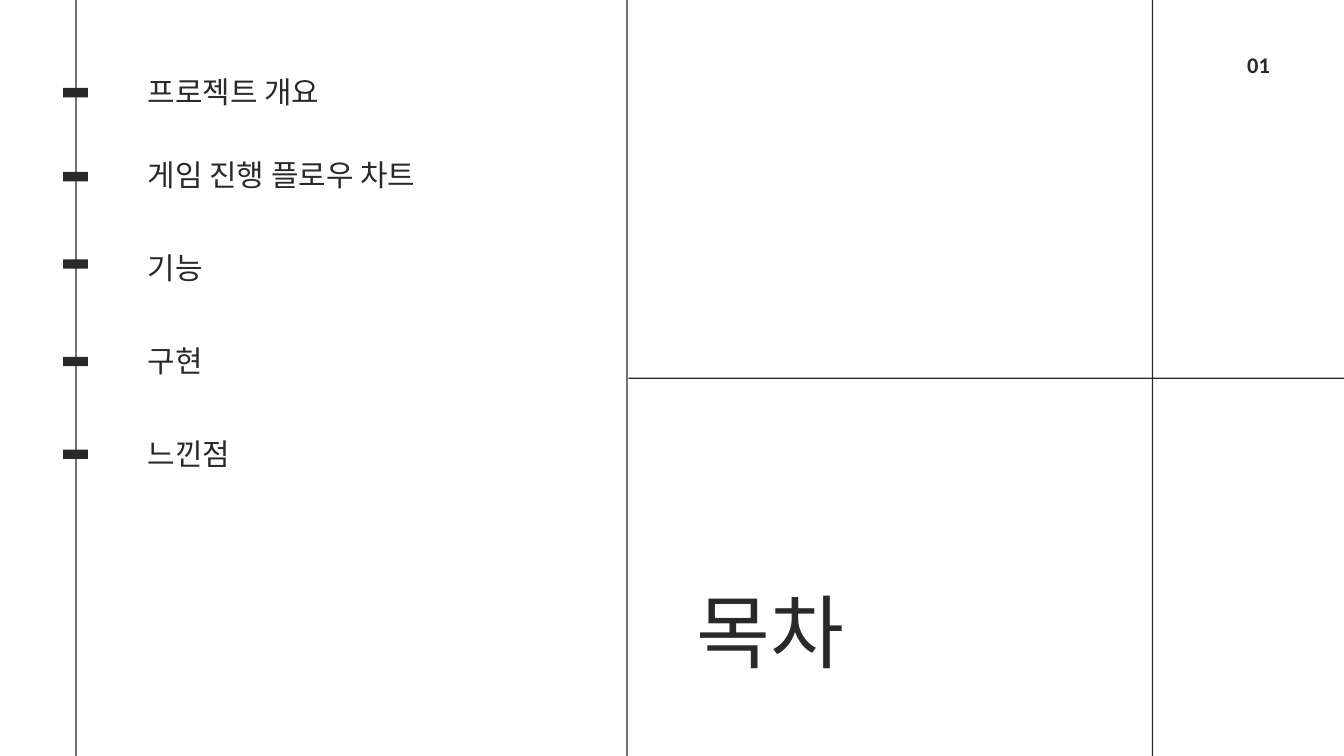
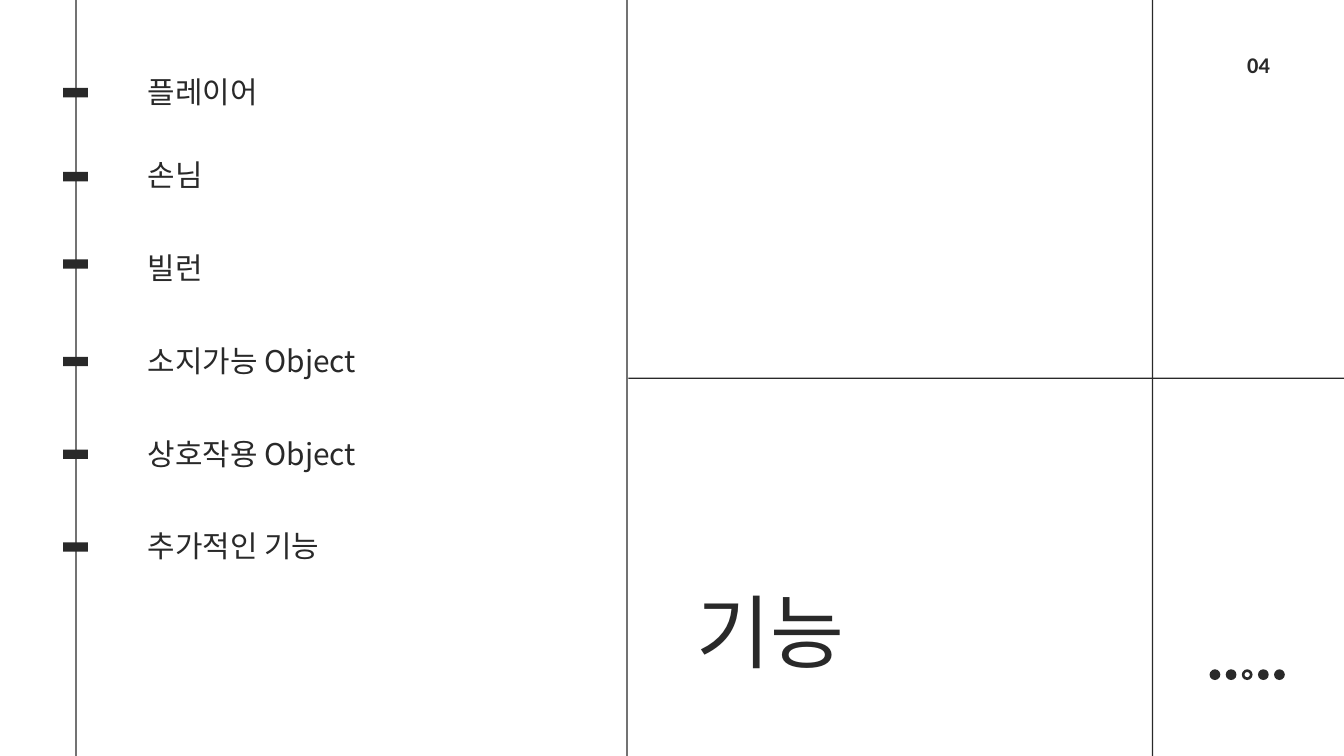
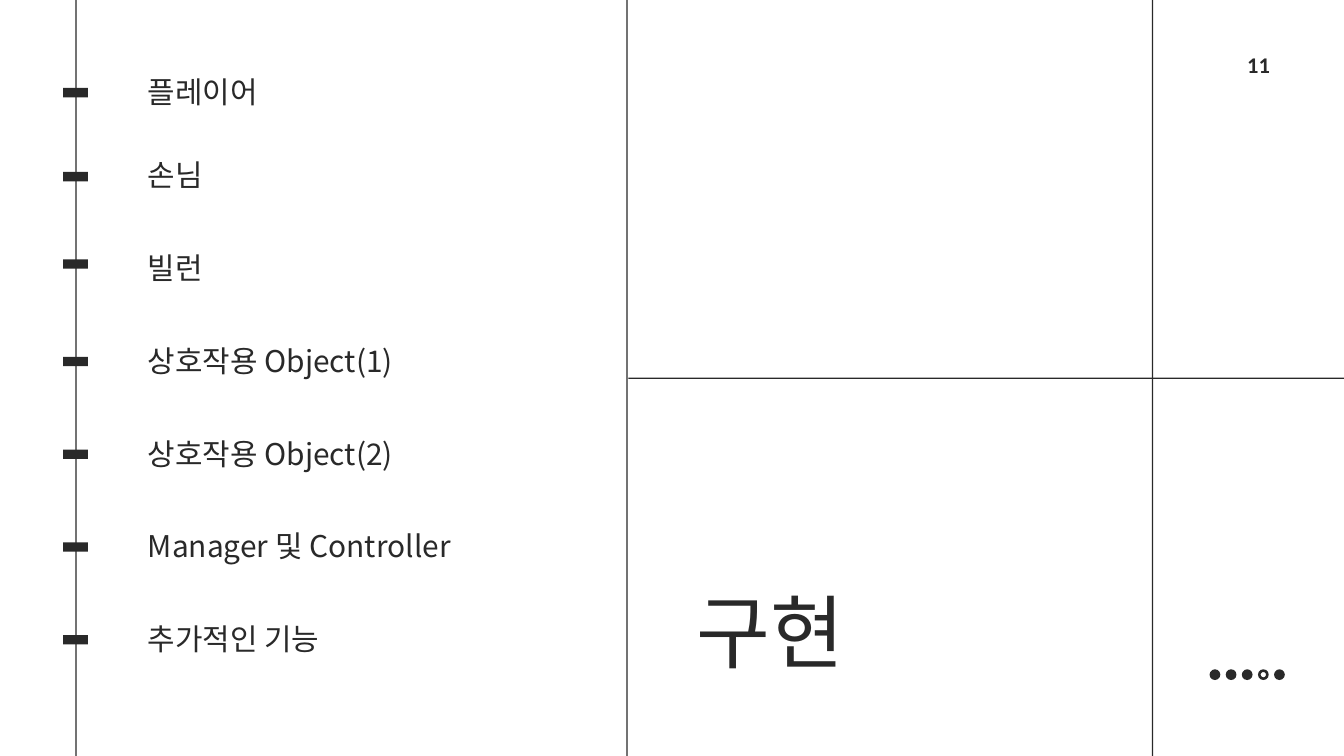
"""Build three section slides, each with a timeline list, a title and a page number."""
import dataclasses

import pptx
import pptx.dml.color
import pptx.enum.shapes
import pptx.enum.text
import pptx.oxml
import pptx.oxml.ns
import pptx.shapes.autoshape
import pptx.shapes.shapetree
import pptx.slide
import pptx.util

Inches = pptx.util.Inches
Kind = pptx.enum.shapes.MSO_SHAPE

COLORS = {"ink": "292929", "paper": "FFFFFF"}
FONTS = {"body": "Noto Sans CJK KR", "page": "Calibri"}

STEP = 1.38
ROWS = 7
ITEM_TOPS = [1.14] + [2.38 + STEP * i for i in range(ROWS - 1)]
TICK_TOPS = [1.31, 2.56, 3.86] + [5.31 + STEP * i for i in range(ROWS - 3)]
DOTS = 5


@dataclasses.dataclass(frozen=True)
class Box:
    left: float
    top: float
    width: float
    height: float

    def emu(self) -> tuple:
        return tuple(Inches(side) for side in dataclasses.astuple(self))


@dataclasses.dataclass(frozen=True)
class Topic:
    title: str
    page: str
    items: tuple[str, ...]
    ring: int | None = None


RULES = (
    Box(17.14, 0, 0.02, 11.25),
    Box(9.35, 5.62, 10.65, 0.02),
    Box(9.32, 0, 0.02, 11.25),
    Box(1.12, 0, 0.02, 11.25),
)

TOPICS = (
    Topic("목차", "01", ("프로젝트 개요", "게임 진행 플로우 차트", "기능", "구현", "느낀점")),
    Topic("기능", "04", ("플레이어", "손님", "빌런", "소지가능 Object",
                       "상호작용 Object", "추가적인 기능"), ring=2),
    Topic("구현", "11", ("플레이어", "손님", "빌런", "상호작용 Object(1)",
                       "상호작용 Object(2)", "Manager 및 Controller", "추가적인 기능"), ring=3),
)


def color(name: str) -> pptx.dml.color.RGBColor:
    return pptx.dml.color.RGBColor.from_string(COLORS[name])


def add_form(
    shapes: pptx.shapes.shapetree.SlideShapes, box: Box, kind: Kind = Kind.RECTANGLE
) -> pptx.shapes.autoshape.Shape:
    form = shapes.add_shape(kind, *box.emu())
    form.shadow.inherit = False
    form.fill.solid()
    form.fill.fore_color.rgb = color("ink")
    form.line.fill.background()
    return form


def add_text(
    slide: pptx.slide.Slide, text: str, box: Box, *, size: float, lead: float,
    font: str = "body", bold: bool = False,
) -> None:
    frame = slide.shapes.add_textbox(*box.emu()).text_frame
    frame.word_wrap = True
    frame.auto_size = pptx.enum.text.MSO_AUTO_SIZE.SHAPE_TO_FIT_TEXT
    frame.margin_left = frame.margin_right = 0
    frame.margin_top = frame.margin_bottom = 0
    para = frame.paragraphs[0]
    para.line_spacing = pptx.util.Pt(lead)
    run = para.add_run()
    run.text = text
    run.font.size = pptx.util.Pt(size)
    run.font.bold = bold
    run.font.color.rgb = color("ink")
    run.font.name = FONTS[font]
    east = pptx.oxml.parse_xml(
        f'<a:ea {pptx.oxml.ns.nsdecls("a")} typeface="{FONTS[font]}"/>'
    )
    run._r.get_or_add_rPr().append(east)


def add_dots(slide: pptx.slide.Slide, ring: int) -> None:
    group = slide.shapes.add_group_shape()
    for i in range(DOTS):
        box = Box(18 + 0.24 * i, 9.96, 0.16, 0.16)
        if i == ring:
            add_form(group.shapes, box, Kind.DONUT).adjustments[0] = 0.25
        else:
            add_form(group.shapes, box, Kind.OVAL)


def add_topic(deck: pptx.presentation.Presentation, topic: Topic) -> None:
    slide = deck.slides.add_slide(deck.slide_layouts[6])
    slide.background.fill.solid()
    slide.background.fill.fore_color.rgb = color("paper")
    for rule in RULES:
        add_form(slide.shapes, rule)
    for item, top, tick in zip(topic.items, ITEM_TOPS, TICK_TOPS):
        add_form(slide.shapes, Box(0.94, tick, 0.37, 0.14))
        add_text(slide, item, Box(2.2, top, 6.29, 0.5), size=32, lead=35.2)
    add_text(slide, topic.title, Box(10.37, 8.79, 5.81, 1.53), size=86, lead=94.6)
    add_text(slide, topic.page, Box(18.56, 0.69, 2.87, 0.44),
             size=24, lead=33.6, font="page", bold=True)
    if topic.ring is not None:
        add_dots(slide, topic.ring)


def main() -> None:
    deck = pptx.Presentation()
    deck.slide_width = Inches(20)
    deck.slide_height = Inches(11.25)
    for topic in TOPICS:
        add_topic(deck, topic)
    deck.save("out.pptx")


if __name__ == "__main__":
    main()
